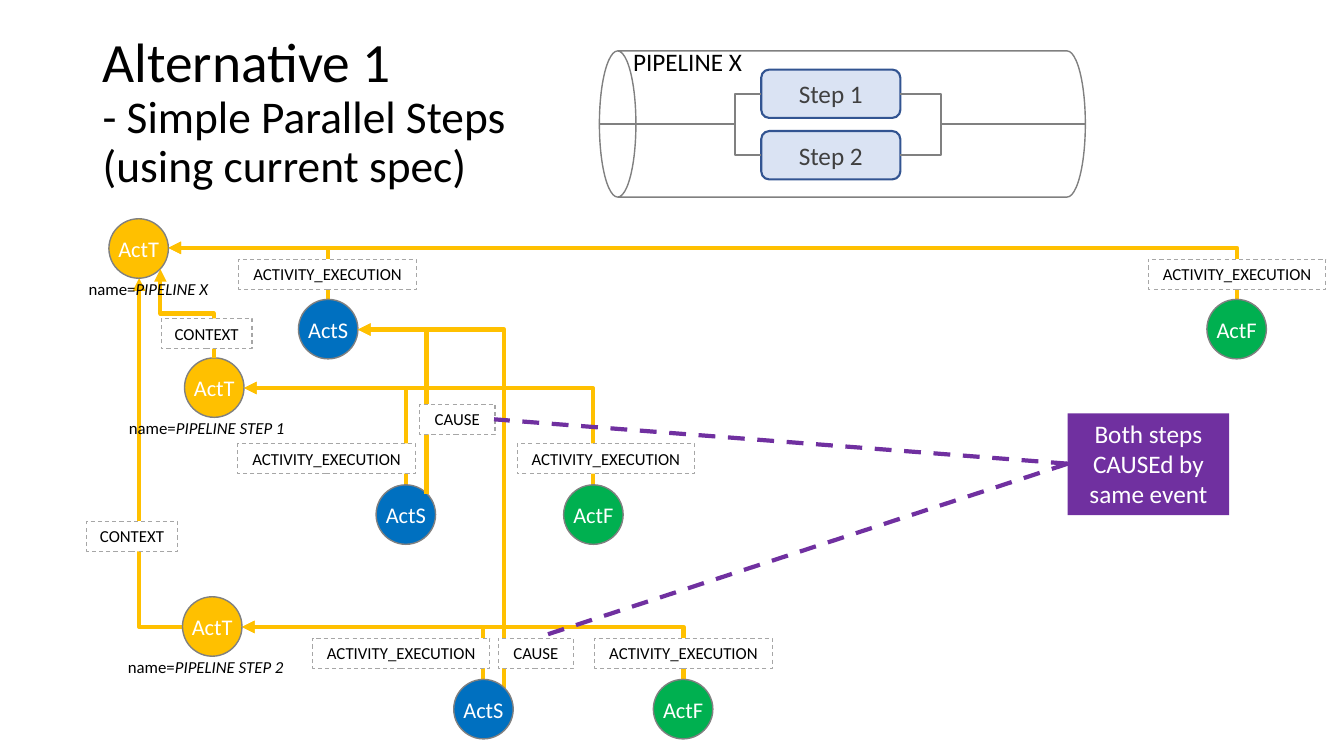
import pptx
import pptx.dml.color
import pptx.enum.dml
import pptx.enum.shapes
import pptx.enum.text
import pptx.oxml
import pptx.oxml.ns
import pptx.util

Inches = pptx.util.Inches
RGBColor = pptx.dml.color.RGBColor
SHAPE = pptx.enum.shapes.MSO_SHAPE
CONNECTOR = pptx.enum.shapes.MSO_CONNECTOR
DASH = pptx.enum.dml.MSO_LINE.DASH
ALIGN = pptx.enum.text.PP_ALIGN
ANCHOR = pptx.enum.text.MSO_ANCHOR

BLACK = RGBColor(0x00, 0x00, 0x00)
WHITE = RGBColor(0xFF, 0xFF, 0xFF)
AMBER = RGBColor(0xFF, 0xC0, 0x00)
BLUE = RGBColor(0x00, 0x70, 0xC0)
GREEN = RGBColor(0x00, 0xB0, 0x50)
PURPLE = RGBColor(0x70, 0x30, 0xA0)
GREY = RGBColor(0x80, 0x80, 0x80)
LIGHT_GREY = RGBColor(0xA6, 0xA6, 0xA6)
DARK_GREY = RGBColor(0x40, 0x40, 0x40)
PALE_BLUE = RGBColor(0xDA, 0xE3, 0xF3)
NAVY = RGBColor(0x32, 0x54, 0x91)

EVENT_SIZE = 0.59
EVENT_COLOURS = {"ActT": AMBER, "ActS": BLUE, "ActF": GREEN}
LABEL_WIDTHS = {"ACTIVITY_EXECUTION": 1.76, "CONTEXT": 0.9, "CAUSE": 0.75}

# Top left corner of each event circle
EVENTS = [
    ("ActT", 1.08, 2.17), ("ActS", 2.96, 2.97), ("ActF", 11.97, 2.97),
    ("ActT", 1.83, 3.55), ("ActS", 3.73, 4.81), ("ActF", 5.59, 4.81),
    ("ActT", 1.81, 5.92), ("ActS", 4.5, 6.74), ("ActF", 6.48, 6.74),
]
# Links that rise from an event and then run left to their target
EXECUTION_LINKS = [
    ((12.27, 2.97), (1.67, 2.46)), ((3.25, 2.97), (1.67, 2.46)),
    ((5.88, 4.81), (2.42, 3.85)), ((4.03, 4.81), (2.42, 3.85)),
    ((6.78, 6.74), (2.4, 6.22)), ((4.79, 6.74), (2.4, 6.22)),
]
LABELS = [
    ("ACTIVITY_EXECUTION", 2.37, 2.57), ("ACTIVITY_EXECUTION", 11.39, 2.57),
    ("ACTIVITY_EXECUTION", 2.36, 4.4), ("ACTIVITY_EXECUTION", 5.13, 4.4),
    ("ACTIVITY_EXECUTION", 3.1, 6.33), ("ACTIVITY_EXECUTION", 5.9, 6.33),
    ("CONTEXT", 1.6, 3.16), ("CONTEXT", 0.86, 5.17),
    ("CAUSE", 4.16, 4.01), ("CAUSE", 4.94, 6.33),
]
NAMES = [
    ("PIPELINE X", 0.78, 2.72, 1.4),
    ("PIPELINE STEP 1", 1.18, 4.1, 1.77),
    ("PIPELINE STEP 2", 1.17, 6.47, 1.77),
]


def add_span(para, text, size, colour=BLACK, italic=False):
    """Add one run of text to a paragraph."""
    span = para.add_run()
    span.text = text
    span.font.name = "Calibri"
    span.font.size = pptx.util.Pt(size)
    span.font.color.rgb = colour
    span.font.italic = italic


def add_box(page, kind, place, fill=None, line=None, weight=1, dash=None):
    """Add a preset shape without shadow; place is left, top, width, height."""
    box = page.shapes.add_shape(kind, *map(Inches, place))
    box.shadow.inherit = False
    if fill is None:
        box.fill.background()
    else:
        box.fill.solid()
        box.fill.fore_color.rgb = fill
    if line is None:
        box.line.fill.background()
    else:
        box.line.color.rgb = line
        box.line.width = pptx.util.Pt(weight)
        box.line.dash_style = dash
    return box


def write_centred(box, text, size, colour, anchor=ANCHOR.MIDDLE):
    """Write centred text into a shape."""
    box.text_frame.vertical_anchor = anchor
    box.text_frame.word_wrap = True
    para = box.text_frame.paragraphs[0]
    para.alignment = ALIGN.CENTER
    add_span(para, text, size, colour)


def add_text(page, place, wrap=False):
    """Add a text box and return it."""
    box = page.shapes.add_textbox(*map(Inches, place))
    box.text_frame.word_wrap = wrap
    return box


def add_event(page, name, left, top):
    """Add an event circle coloured by its type."""
    box = add_box(page, SHAPE.FLOWCHART_CONNECTOR,
                  (left, top, EVENT_SIZE, EVENT_SIZE), EVENT_COLOURS[name], GREY)
    frame = box.text_frame
    frame.margin_left = frame.margin_right = frame.margin_top = frame.margin_bottom = 0
    write_centred(box, name, 16, WHITE)


def add_label(page, text, left, top):
    """Add a dashed label that names a link."""
    box = add_box(page, SHAPE.RECTANGLE, (left, top, LABEL_WIDTHS[text], 0.3),
                  WHITE, LIGHT_GREY, 0.75, DASH)
    write_centred(box, text, 12, BLACK, ANCHOR.TOP)


def add_name(page, name, left, top, width):
    """Add the name caption below an ActT event."""
    para = add_text(page, (left, top, width, 0.3)).text_frame.paragraphs[0]
    add_span(para, "name=", 12)
    add_span(para, name, 12, italic=True)


def add_line(page, kind, start, end, colour, weight, dash=None):
    """Add a connector without shadow."""
    line = page.shapes.add_connector(kind, *map(Inches, start + end))
    line.line.color.rgb = colour
    line.line.width = pptx.util.Pt(weight)
    line.line.dash_style = dash
    properties = line._element.spPr
    properties.append(pptx.oxml.parse_xml(
        "<a:effectLst %s/>" % pptx.oxml.ns.nsdecls("a")))
    return line


def set_bend(line, preset, bend=None):
    """Choose the elbow preset and the share of its length where it turns."""
    geometry = line._element.spPr.find(pptx.oxml.ns.qn("a:prstGeom"))
    geometry.set("prst", preset)
    if bend is not None:
        guides = geometry.find(pptx.oxml.ns.qn("a:avLst"))
        guides.append(pptx.oxml.parse_xml(
            '<a:gd %s name="adj1" fmla="val %d"/>'
            % (pptx.oxml.ns.nsdecls("a"), round(bend * 100000))))


def add_link(page, start, end, rising=True, preset="bentConnector2"):
    """Add an amber elbow arrow going up and left, rising first or last."""
    across, climb = start[0] - end[0], start[1] - end[1]
    width, height = (climb, across) if rising else (across, climb)
    left = (start[0] + end[0] - width) / 2
    top = (start[1] + end[1] - height) / 2
    line = add_line(page, CONNECTOR.ELBOW, (left, top),
                    (left + width, top + height), AMBER, 3)
    set_bend(line, preset)
    transform = line._element.spPr.find(pptx.oxml.ns.qn("a:xfrm"))
    transform.set("rot", str((270 if rising else 180) * 60000))
    if rising:
        transform.set("flipV", "1")
    line.line._get_or_add_ln().append(pptx.oxml.parse_xml(
        '<a:tailEnd %s type="triangle"/>' % pptx.oxml.ns.nsdecls("a")))


def add_title(page):
    """Add the three line heading."""
    box = add_text(page, (0.92, 0.4, 11.5, 1.45), wrap=True)
    box.text_frame.vertical_anchor = ANCHOR.MIDDLE
    para = box.text_frame.paragraphs[0]
    para.line_spacing = 0.9
    add_span(para, "Alternative 1", 39.6)
    for text in ("- Simple Parallel Steps", "(using current spec)"):
        para.add_line_break()
        add_span(para, text, 32.4)


def add_pipeline(page):
    """Add the pipeline cylinder with its two parallel steps."""
    add_box(page, SHAPE.CAN, (7.63, -1.18, 1.45, 4.82), line=GREY).rotation = 270
    for name, top in (("Step 1", 0.69), ("Step 2", 1.3)):
        box = add_box(page, SHAPE.ROUNDED_RECTANGLE, (7.55, top, 1.38, 0.48),
                      PALE_BLUE, NAVY, 1.5)
        write_centred(box, name, 18, DARK_GREY)
        middle = top + 0.24
        for start, end, bend in (((5.94, 1.23), (7.55, middle), 0.84),
                                 ((8.93, middle), (10.76, 1.23), 0.22)):
            line = add_line(page, CONNECTOR.ELBOW, start, end, GREY, 1.5)
            set_bend(line, "bentConnector3", bend)
    caption = add_text(page, (6.18, 0.41, 1.29, 0.4))
    add_span(caption.text_frame.paragraphs[0], "PIPELINE X", 18)


def main():
    """Build the slide and save it."""
    deck = pptx.Presentation()
    deck.slide_width, deck.slide_height = Inches(13.33), Inches(7.5)
    page = deck.slides.add_slide(deck.slide_layouts[6])
    add_title(page)
    add_link(page, (5, 6.83), (3.55, 3.27))
    add_link(page, (1.81, 6.22), (1.38, 2.76), rising=False)
    for start, end in EXECUTION_LINKS:
        add_link(page, start, end)
    for event in EVENTS:
        add_event(page, *event)
    add_link(page, (2.12, 3.55), (1.59, 2.67), preset="bentConnector3")
    add_link(page, (4.23, 4.9), (3.55, 3.27))
    for label in LABELS:
        add_label(page, *label)
    for name in NAMES:
        add_name(page, *name)
    note = add_box(page, SHAPE.RECTANGLE, (10.59, 4.1, 1.6, 1.01), PURPLE)
    write_centred(note, "Both steps CAUSEd by same event", 18, WHITE, ANCHOR.TOP)
    for end in ((5.32, 6.33), (4.9, 4.16)):
        add_line(page, CONNECTOR.STRAIGHT, (10.59, 4.6), end, PURPLE, 3, DASH)
    add_pipeline(page)
    deck.save("out.pptx")


main()
